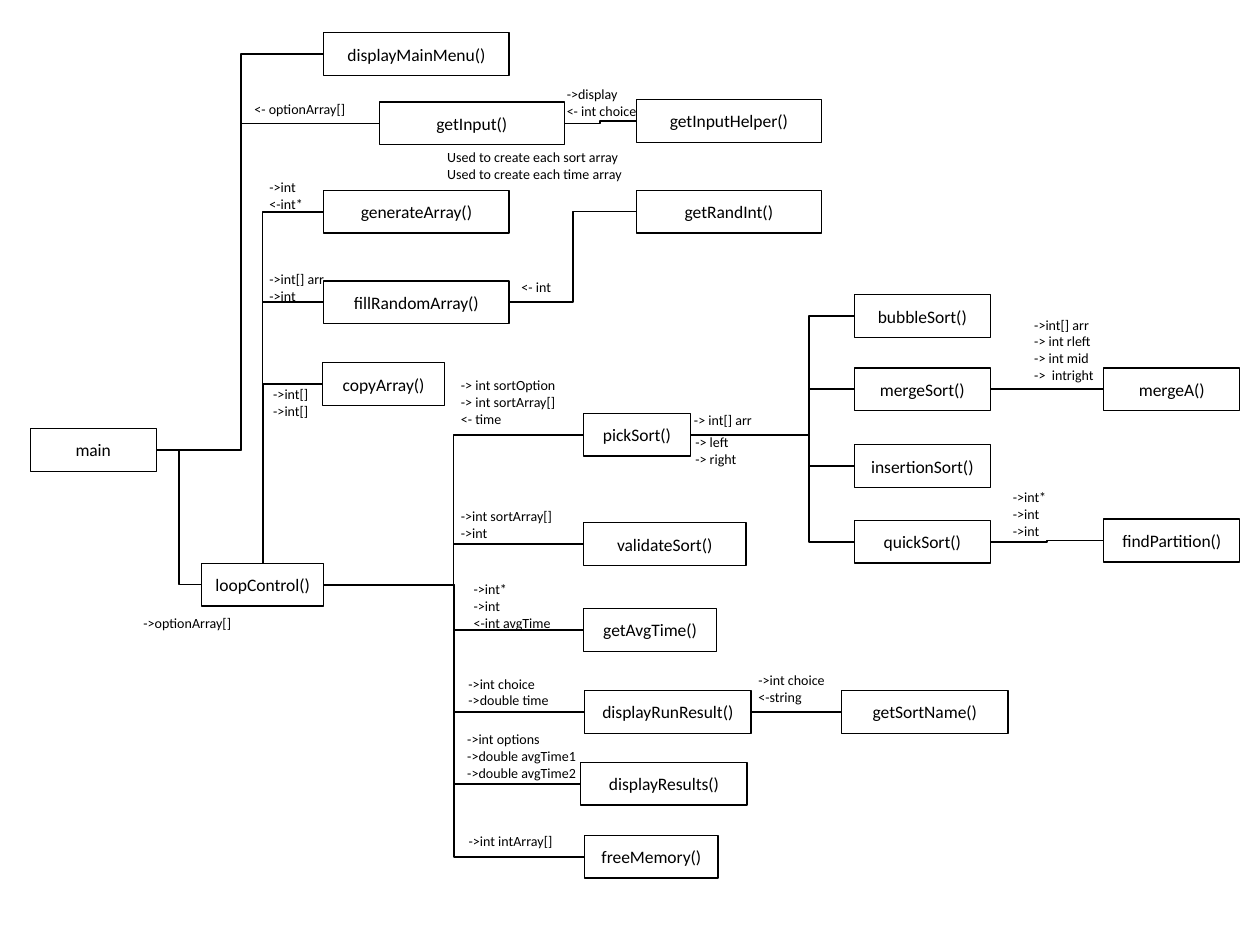
import pptx
import pptx.util
import pptx.dml.color
import pptx.enum.shapes
import pptx.enum.text
import lxml.etree
from pptx.util import Inches

THEME = {
    "font": "Calibri",
    "ink": pptx.dml.color.RGBColor(0, 0, 0),
    "box_size": 10,
    "note_size": 8,
    "box_line": 0.75,
    "link_line": 1,
}
BOX_H = 0.34
TOP, LEFT, RIGHT = 0, 1, 3
ALIGN = pptx.enum.text.PP_ALIGN
ANCHOR = pptx.enum.text.MSO_ANCHOR
DRAWING = "http://schemas.openxmlformats.org/drawingml/2006/main"


def write(sp, text, size, align=ALIGN.LEFT, anchor=ANCHOR.TOP, wrap=True):
    tf = sp.text_frame
    tf.text = text
    tf.word_wrap = wrap
    tf.vertical_anchor = anchor
    for p in tf.paragraphs:
        p.alignment = align
        for r in p.runs:
            r.font.name = THEME["font"]
            r.font.size = pptx.util.Pt(size)
            r.font.color.rgb = THEME["ink"]


def connect(begin, begin_side, end, end_side):
    cxn = s.shapes.add_connector(pptx.enum.shapes.MSO_CONNECTOR.ELBOW, 0, 0, 0, 0)
    cxn.begin_connect(begin, begin_side)
    cxn.end_connect(end, end_side)
    cxn.line.color.rgb = THEME["ink"]
    cxn.line.width = pptx.util.Pt(THEME["link_line"])
    lxml.etree.SubElement(cxn._element.spPr, f"{{{DRAWING}}}effectLst")
    return cxn


prs = pptx.Presentation()
prs.slide_width, prs.slide_height = Inches(10), Inches(7.5)
s = prs.slides.add_slide(prs.slide_layouts[6])

# Function boxes: name, left, top, width
functions = [
    ("main", 0.24, 3.4, 1),
    ("displayMainMenu()", 2.57, 0.26, 1.47),
    ("getInput()", 3.01, 0.81, 1.47),
    ("getInputHelper()", 5.05, 0.79, 1.47),
    ("loopControl()", 1.6, 4.47, 0.97),
    ("generateArray()", 2.57, 1.51, 1.47),
    ("fillRandomArray()", 2.57, 2.23, 1.47),
    ("getRandInt()", 5.05, 1.51, 1.47),
    ("copyArray()", 2.56, 2.88, 0.97),
    ("pickSort()", 4.63, 3.28, 0.85),
    ("bubbleSort()", 6.78, 2.34, 1.08),
    ("mergeSort()", 6.78, 2.92, 1.08),
    ("insertionSort()", 6.78, 3.53, 1.08),
    ("quickSort()", 6.78, 4.13, 1.08),
    ("mergeA()", 8.76, 2.92, 1.08),
    ("findPartition()", 8.76, 4.12, 1.08),
    ("validateSort()", 4.63, 4.15, 1.29),
    ("getAvgTime()", 4.63, 4.83, 1.06),
    ("displayRunResult()", 4.64, 5.48, 1.32),
    ("getSortName()", 6.68, 5.48, 1.32),
    ("displayResults()", 4.61, 6.05, 1.32),
    ("freeMemory()", 4.64, 6.63, 1.06),
]
boxes = {}
for name, x, y, w in functions:
    sp = s.shapes.add_shape(pptx.enum.shapes.MSO_SHAPE.RECTANGLE,
                            Inches(x), Inches(y), Inches(w), Inches(BOX_H))
    sp.shadow.inherit = False
    sp.fill.background()
    sp.line.color.rgb = THEME["ink"]
    sp.line.width = pptx.util.Pt(THEME["box_line"])
    write(sp, name, THEME["box_size"], align=ALIGN.CENTER, anchor=ANCHOR.MIDDLE)
    boxes[name] = sp

# Calls leaving the caller's right side: caller, x of the bend (None = midway), callees
calls = [
    ("main", 1.91, ["displayMainMenu()", "getInput()"]),
    ("main", None, ["loopControl()"]),
    ("getInput()", None, ["getInputHelper()"]),
    ("fillRandomArray()", None, ["getRandInt()"]),
    ("loopControl()", 3.6, ["pickSort()", "validateSort()", "getAvgTime()",
                            "displayRunResult()", "displayResults()", "freeMemory()"]),
    ("pickSort()", 6.42, ["bubbleSort()", "mergeSort()", "insertionSort()", "quickSort()"]),
    ("mergeSort()", None, ["mergeA()"]),
    ("quickSort()", None, ["findPartition()"]),
    ("displayRunResult()", None, ["getSortName()"]),
]
for caller, bend, callees in calls:
    for callee in callees:
        cxn = connect(boxes[caller], RIGHT, boxes[callee], LEFT)
        if bend is not None:
            share = (Inches(bend) - cxn.begin_x) / (cxn.end_x - cxn.begin_x)
            guides = cxn._element.spPr.prstGeom.get_or_add_avLst()
            lxml.etree.SubElement(guides, f"{{{DRAWING}}}gd",
                                  name="adj1", fmla=f"val {round(share * 100000)}")

# Calls leaving the top of loopControl(), with a single bend
for callee in ("generateArray()", "fillRandomArray()", "copyArray()"):
    cxn = connect(boxes[callee], LEFT, boxes["loopControl()"], TOP)
    cxn._element.spPr.prstGeom.set("prst", "bentConnector2")

# Parameter and return notes: text, left, top, width, wrap
notes = [
    ("<- optionArray[]", 1.92, 0.75, 1.09, True),
    ("->optionArray[]", 1.04, 4.83, 1.53, True),
    ("->display\n<- int choice", 4.4, 0.63, 0.76, False),
    ("Used to create each sort array\nUsed to create each time array", 3.45, 1.13, 1.61, False),
    ("->int\n<-int*", 2.04, 1.37, 0.47, False),
    ("<- int", 4.04, 2.16, 0.44, False),
    ("->int[] arr\n->int", 2.04, 2.1, 0.64, False),
    ("->int[]\n->int[]", 2.07, 3.01, 0.48, False),
    ("-> int sortOption\n-> int sortArray[]\n<- time", 3.56, 2.94, 0.96, False),
    ("-> int[] arr", 5.41, 3.22, 0.67, False),
    ("-> left\n-> right", 5.42, 3.39, 0.53, False),
    ("->int[] arr\n-> int rleft\n-> int mid\n->  intright", 8.11, 2.46, 0.68, False),
    ("->int*\n->int\n->int", 7.94, 3.83, 0.47, False),
    ("->int sortArray[]\n->int", 3.56, 3.98, 0.94, False),
    ("->int*\n->int\n<-int avgTime", 3.66, 4.56, 0.82, False),
    ("->int choice\n->double time", 3.62, 5.31, 0.84, False),
    ("->int choice\n<-string", 5.92, 5.28, 0.73, False),
    ("->int options\n->double avgTime1\n->double avgTime2", 3.61, 5.75, 1.08, False),
    ("->int intArray[]", 3.62, 6.56, 0.88, False),
]
for text, x, y, w, wrap in notes:
    h = 0.1 + 0.135 * len(text.splitlines())
    sp = s.shapes.add_textbox(Inches(x), Inches(y), Inches(w), Inches(h))
    write(sp, text, THEME["note_size"], wrap=wrap)
    sp.text_frame.auto_size = pptx.enum.text.MSO_AUTO_SIZE.SHAPE_TO_FIT_TEXT

prs.save("out.pptx")
